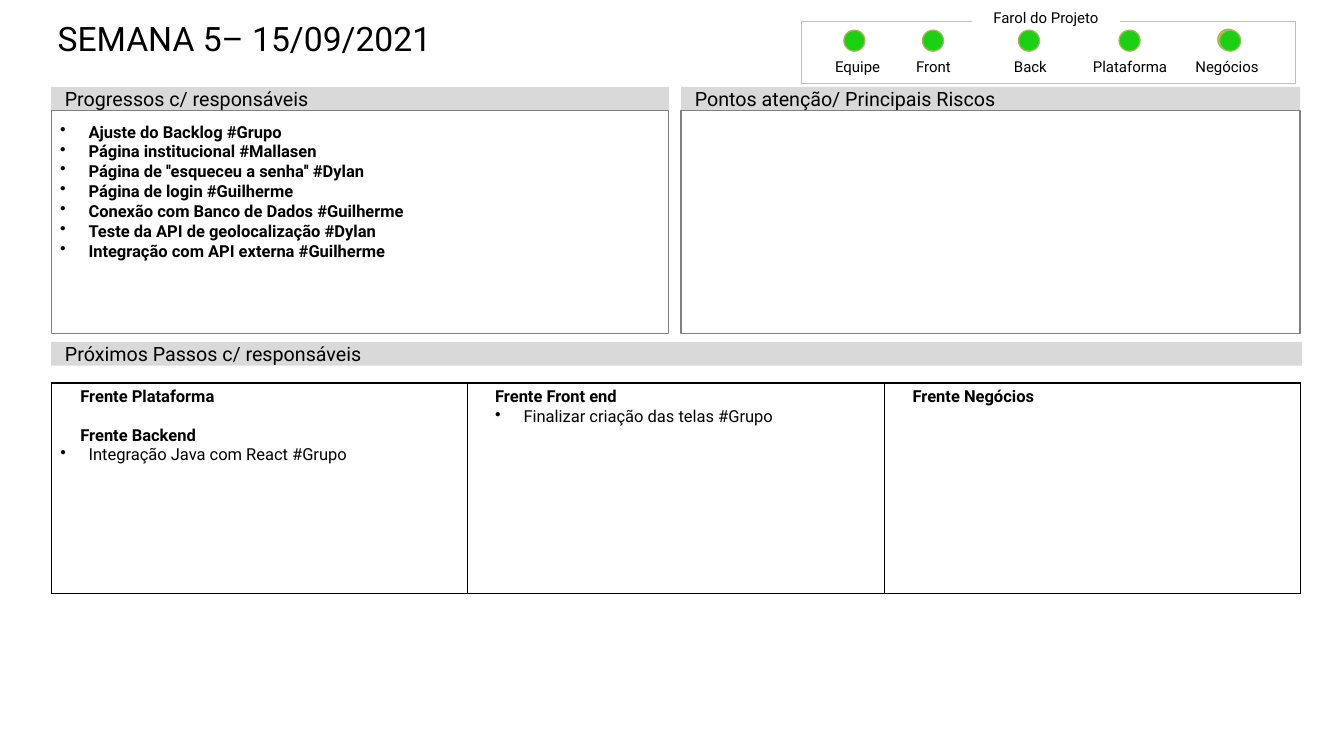
import pptx
import pptx.util
import pptx.dml.color
import pptx.enum.shapes
import pptx.enum.text
import pptx.oxml
import pptx.oxml.ns

COLORS = {"text": "000000", "band": "D9D9D9", "panel_line": "808080",
          "frame_line": "BFBFBF", "green": "1BCF13", "amber": "FFC000",
          "light_line": "9BBB59", "white": "FFFFFF"}
COLUMNS, ROWS = 147, 82.7
SHAPES = pptx.enum.shapes.MSO_SHAPE
ANCHORS = pptx.enum.text.MSO_ANCHOR
CENTER = pptx.enum.text.PP_ALIGN.CENTER
HANG = 3.1

PROGRESS = ["Ajuste do Backlog #Grupo", "Página institucional #Mallasen",
            "Página de ''esqueceu a senha'' #Dylan", "Página de login #Guilherme",
            "Conexão com Banco de Dados #Guilherme",
            "Teste da API de geolocalização #Dylan",
            "Integração com API externa #Guilherme"]
# Each table column: indent, then its fronts with their tasks
NEXT_STEPS = [
    (2.2, [("Frente Plataforma", []),
           ("Frente Backend", ["Integração Java com React #Grupo"])]),
    (2, [("Frente Front end", ["Finalizar criação das telas #Grupo"])]),
    (2.1, [("Frente Negócios", [])]),
]
# Name, left of the light, left of the label
LIGHTS = [("Equipe", 92.3, 88.9), ("Front", 100.9, 97.2), ("Back", 111.4, 107.8),
          ("Plataforma", 122.4, 118.7), ("Negócios", 133.4, 129.3)]


class StatusSlide:
    font = "Roboto"

    def __init__(self, presentation):
        self.column = presentation.slide_width / COLUMNS
        self.row = presentation.slide_height / ROWS
        self.slide = presentation.slides.add_slide(presentation.slide_layouts[6])

    def box(self, left, top, width, height):
        return (round(left * self.column), round(top * self.row),
                round(width * self.column), round(height * self.row))

    def color(self, name):
        return pptx.dml.color.RGBColor.from_string(COLORS[name])

    def shape(self, box, kind=SHAPES.RECTANGLE, fill=None, line=None, weight=1):
        shape = self.slide.shapes.add_shape(kind, *self.box(*box))
        shape.shadow.inherit = False
        if fill:
            shape.fill.solid()
            shape.fill.fore_color.rgb = self.color(fill)
        else:
            shape.fill.background()
        if line:
            shape.line.color.rgb = self.color(line)
            shape.line.width = pptx.util.Pt(weight)
        else:
            shape.line.fill.background()
        return shape

    def frame(self, shape, insets, anchor=ANCHORS.TOP, wrap=True):
        """Set insets (left, top, right, bottom, in grid units) and anchoring."""
        text_frame = shape.text_frame
        text_frame.word_wrap = wrap
        text_frame.vertical_anchor = anchor
        left, top, right, bottom = insets
        text_frame.margin_left = round(left * self.column)
        text_frame.margin_right = round(right * self.column)
        text_frame.margin_top = round(top * self.row)
        text_frame.margin_bottom = round(bottom * self.row)
        return text_frame

    def set_text(self, paragraph, text, size, bold=False,
                 alignment=pptx.enum.text.PP_ALIGN.LEFT):
        paragraph.text = text
        paragraph.alignment = alignment
        for run in paragraph.runs:
            run.font.name = self.font
            run.font.size = pptx.util.Pt(size)
            run.font.bold = bold
            run.font.color.rgb = self.color("text")

    def indent(self, paragraph, margin, bullet=False):
        """Indent a paragraph by grid columns, with a hanging bullet if asked."""
        properties = paragraph._p.get_or_add_pPr()
        properties.set("marL", str(round(margin * self.column)))
        properties.set("indent", str(-round(HANG * self.column) if bullet else 0))
        if bullet:
            properties.append(pptx.oxml.parse_xml(
                f'<a:buChar {pptx.oxml.ns.nsdecls("a")} char="•"/>'))

    def title(self, text):
        shape = self.slide.shapes.add_textbox(*self.box(5.1, 2, 132.3, 8.7))
        text_frame = self.frame(shape, (1.2, 0, 1.2, 0))
        self.set_text(text_frame.paragraphs[0], text, 26.5)

    def header(self, left, top, width, text):
        shape = self.shape((left, top, width, 2.6), fill="band")
        text_frame = self.frame(shape, (1.5, 0.7, 1.5, 0.7), ANCHORS.MIDDLE)
        self.set_text(text_frame.paragraphs[0], text, 15.5)

    def panel(self, left, width, items):
        shape = self.shape((left, 12.1, width, 24.4), line="panel_line")
        text_frame = self.frame(shape, (1, 1.2, 1, 0.5))
        for index, item in enumerate(items):
            paragraph = (text_frame.add_paragraph() if index
                         else text_frame.paragraphs[0])
            self.set_text(paragraph, item, 13, bold=True)
            self.indent(paragraph, HANG, bullet=True)

    def label(self, shape, text):
        text_frame = self.frame(shape, (0.6, 0.6, 0.6, 0), ANCHORS.BOTTOM, wrap=False)
        self.set_text(text_frame.paragraphs[0], text, 11.8, alignment=CENTER)

    def light(self, left, top, fill):
        self.shape((left, top, 2.3, 2.3), SHAPES.OVAL, fill, "light_line")

    def project_lights(self):
        self.shape((87.7, 2.3, 54, 6.8), line="frame_line", weight=0.5)
        self.label(self.shape((106.3, 0.6, 16.2, 2.3), fill="white"),
                   "Farol do Projeto")
        self.light(133.2, 3.2, "amber")
        for name, light_left, label_left in LIGHTS:
            self.light(light_left, 3.3, "green")
            self.label(self.slide.shapes.add_textbox(
                *self.box(label_left, 6.3, 9.8, 2)), name)

    def border(self, cell):
        properties = cell._tc.get_or_add_tcPr()
        for index, side in enumerate("LRTB"):
            properties.insert(index, pptx.oxml.parse_xml(
                f'<a:ln{side} {pptx.oxml.ns.nsdecls("a")} w="12700"><a:solidFill>'
                f'<a:srgbClr val="{COLORS["text"]}"/></a:solidFill></a:ln{side}>'))

    def steps_table(self, box, columns):
        table = self.slide.shapes.add_table(1, len(columns), *self.box(*box)).table
        table.first_row = table.horz_banding = False
        for cell, (margin, fronts) in zip(table.rows[0].cells, columns):
            cell.fill.background()
            self.border(cell)
            paragraph = cell.text_frame.paragraphs[0]
            for index, (front, tasks) in enumerate(fronts):
                if index:
                    paragraph = cell.text_frame.add_paragraph()
                    paragraph.space_before = pptx.util.Pt(15.4)
                self.set_text(paragraph, front, 13, bold=True)
                self.indent(paragraph, margin)
                # A cell with several fronts hangs its tasks from the cell edge
                task_margin = HANG if len(fronts) > 1 else margin + HANG
                for task in tasks:
                    paragraph = cell.text_frame.add_paragraph()
                    self.set_text(paragraph, task, 13)
                    self.indent(paragraph, task_margin, bullet=True)


def main():
    presentation = pptx.Presentation()
    presentation.slide_width = pptx.util.Inches(14.7)
    presentation.slide_height = pptx.util.Inches(8.27)
    status = StatusSlide(presentation)
    status.title("SEMANA 5– 15/09/2021")
    status.header(5.6, 9.5, 67.6, "Progressos c/ responsáveis")
    status.header(74.5, 9.5, 67.7, "Pontos atenção/ Principais Riscos")
    status.header(5.6, 37.4, 136.8, "Próximos Passos c/ responsáveis")
    status.panel(5.6, 67.5, PROGRESS)
    status.panel(74.5, 67.7, [])
    status.steps_table((5.6, 41.9, 136.7, 23), NEXT_STEPS)
    status.project_lights()
    presentation.save("out.pptx")


if __name__ == "__main__":
    main()
